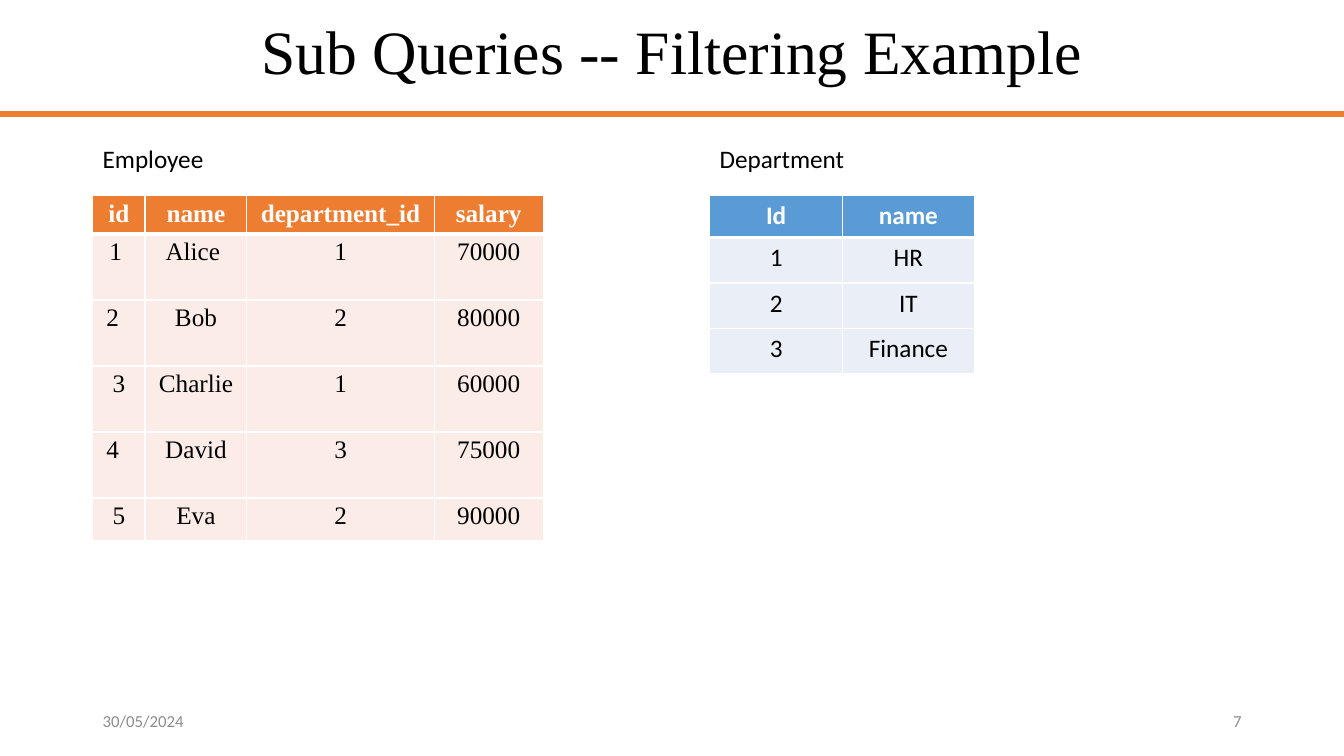
"""Build the sub-query filtering example slide with its two source tables."""
from lxml import etree
from pptx import Presentation
from pptx.dml.color import RGBColor
from pptx.enum.shapes import MSO_CONNECTOR
from pptx.enum.text import MSO_ANCHOR, PP_ALIGN
from pptx.oxml.ns import qn
from pptx.util import Pt

BLACK = RGBColor(0x00, 0x00, 0x00)
WHITE = RGBColor(0xFF, 0xFF, 0xFF)
GREY = RGBColor(0x8C, 0x8C, 0x8C)
ORANGE = RGBColor(0xED, 0x7D, 0x31)
PALE_ORANGE = RGBColor(0xFC, 0xEC, 0xE8)
BLUE = RGBColor(0x5B, 0x9B, 0xD5)
PALE_BLUE = RGBColor(0xEA, 0xEF, 0xF7)
SERIF, SANS = "Times New Roman", "Calibri"
LEFT, RIGHT, TABLE_TOP = 66.24, 506.88, 139.68


def write(tf, text, font=SANS, size=18, color=BLACK, bold=False, align=PP_ALIGN.LEFT):
    p = tf.paragraphs[0]
    p.alignment = align
    r = p.add_run()
    r.text = text
    r.font.name = font
    r.font.size = Pt(size)
    r.font.bold = bold
    r.font.color.rgb = color
    return p


def set_borders(cell, bottom):
    tcPr = cell._tc.get_or_add_tcPr()
    for i, (side, width) in enumerate((("lnL", 1), ("lnR", 1), ("lnT", 1), ("lnB", bottom))):
        ln = etree.Element(qn(f"a:{side}"), w=str(Pt(width)))
        fill = etree.SubElement(ln, qn("a:solidFill"))
        etree.SubElement(fill, qn("a:srgbClr"), val=str(WHITE))
        tcPr.insert(i, ln)


prs = Presentation()
prs.slide_width, prs.slide_height = Pt(960), Pt(540)
s = prs.slides.add_slide(prs.slide_layouts[6])

rule = s.shapes.add_connector(MSO_CONNECTOR.STRAIGHT, Pt(0), Pt(81.2), Pt(960), Pt(81.2))
rule.line.color.rgb = ORANGE
rule.line.width = Pt(4.5)
etree.SubElement(rule._element.spPr, qn("a:effectLst"))

footer = dict(size=12, color=GREY)
texts = [
    ("Sub Queries -- Filtering Example", LEFT, 0, 828, 77.8, MSO_ANCHOR.MIDDLE,
     dict(font=SERIF, size=44, align=PP_ALIGN.CENTER)),
    ("Employee", LEFT, 98.8, 132.5, 29, MSO_ANCHOR.TOP, {}),
    ("Department", RIGHT, 98.8, 109.5, 29, MSO_ANCHOR.TOP, {}),
    ("30/05/2024", LEFT, 500.5, 216, 28.75, MSO_ANCHOR.MIDDLE, footer),
    ("7", 678, 500.5, 216, 28.75, MSO_ANCHOR.MIDDLE, dict(footer, align=PP_ALIGN.RIGHT)),
]
for text, x, y, w, h, anchor, style in texts:
    tf = s.shapes.add_textbox(Pt(x), Pt(y), Pt(w), Pt(h)).text_frame
    tf.word_wrap = True
    tf.vertical_anchor = anchor
    p = write(tf, text, **style)
    if style.get("size") == 44:
        p.line_spacing = 0.9

employee = [
    ("id", "name", "department_id", "salary"),
    ("1", "Alice", "1", "70000"),
    ("2", "Bob", "2", "80000"),
    ("3", "Charlie", "1", "60000"),
    ("4", "David", "3", "75000"),
    ("5", "Eva", "2", "90000"),
]
department = [("Id", "name"), ("1", "HR"), ("2", "IT"), ("3", "Finance")]
employee_shifts = {(1, 0): 4.5, (1, 1): 4.5, (2, 0): 9, (4, 0): 9}
tables = [
    (employee, LEFT, (37.4, 72.7, 133.9, 77.8), (27.1, *[47.15] * 4, 30.6),
     SERIF, ORANGE, PALE_ORANGE, 2.9, employee_shifts),
    (department, RIGHT, (95, 94), (30, *[32.5] * 3),
     SANS, BLUE, PALE_BLUE, 3.6, {}),
]
for rows, x, widths, heights, font, head, body, margin, shifts in tables:
    table = s.shapes.add_table(len(rows), len(widths), Pt(x), Pt(TABLE_TOP),
                               Pt(sum(widths)), Pt(sum(heights))).table
    for column, width in zip(table.columns, widths):
        column.width = Pt(width)
    for i, (row, height) in enumerate(zip(rows, heights)):
        table.rows[i].height = Pt(height)
        for j, value in enumerate(row):
            cell = table.cell(i, j)
            cell.margin_top = cell.margin_bottom = Pt(margin)
            cell.margin_right = Pt(7.2 + shifts.get((i, j), 0))
            cell.fill.solid()
            cell.fill.fore_color.rgb = body if i else head
            set_borders(cell, 1 if i else 3)
            write(cell.text_frame, value, font=font, color=BLACK if i else WHITE,
                  bold=i == 0, align=PP_ALIGN.CENTER)

prs.save("out.pptx")
